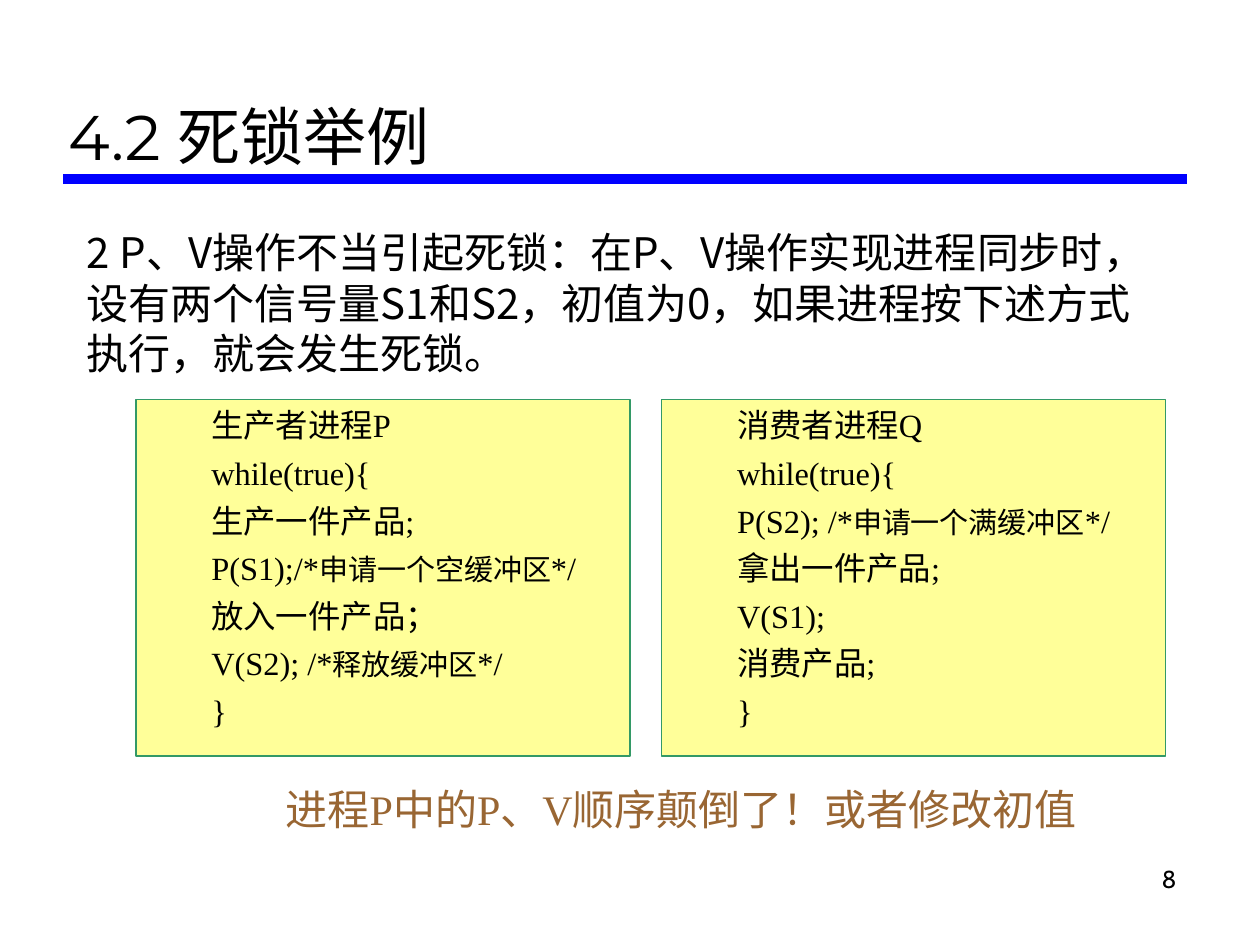
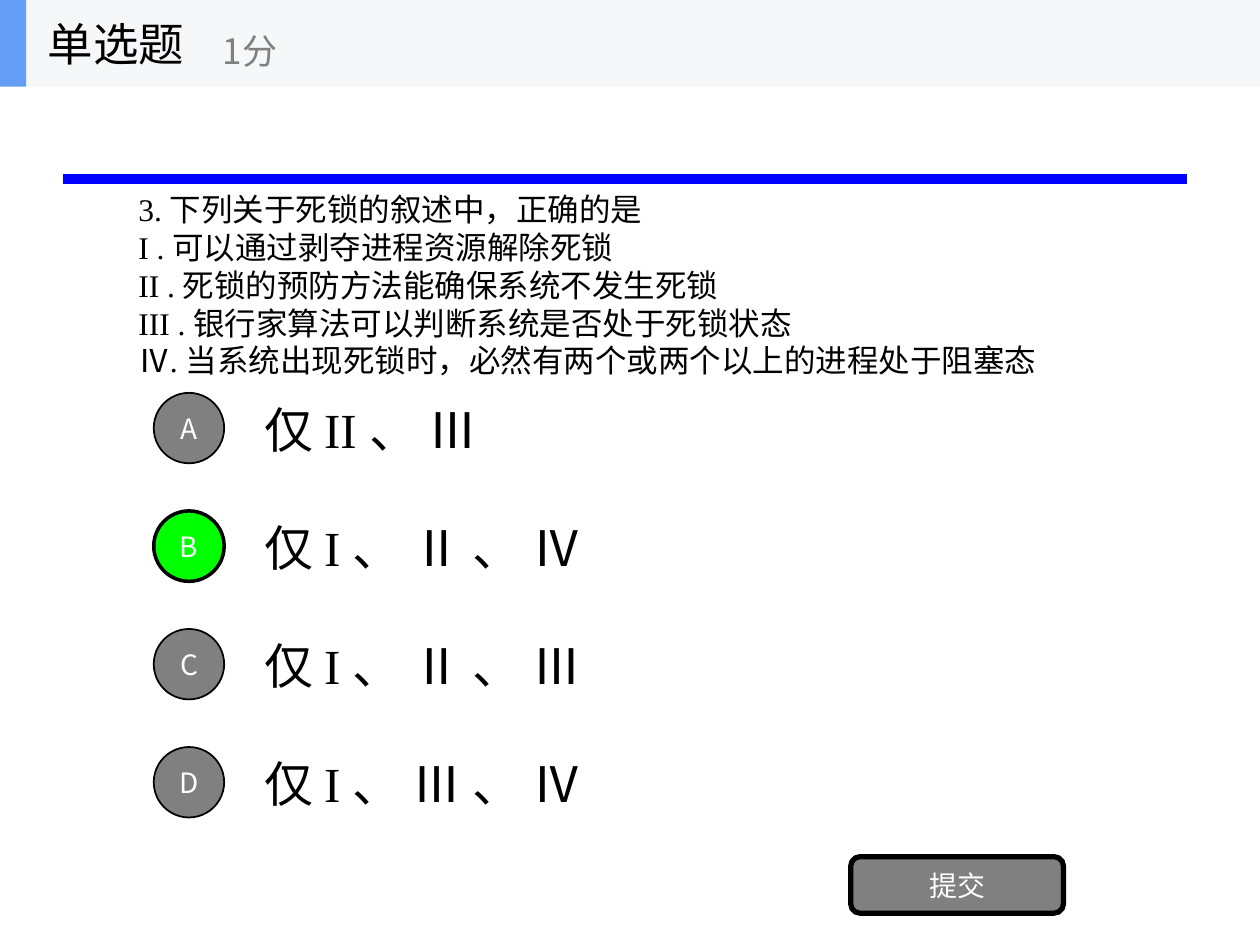
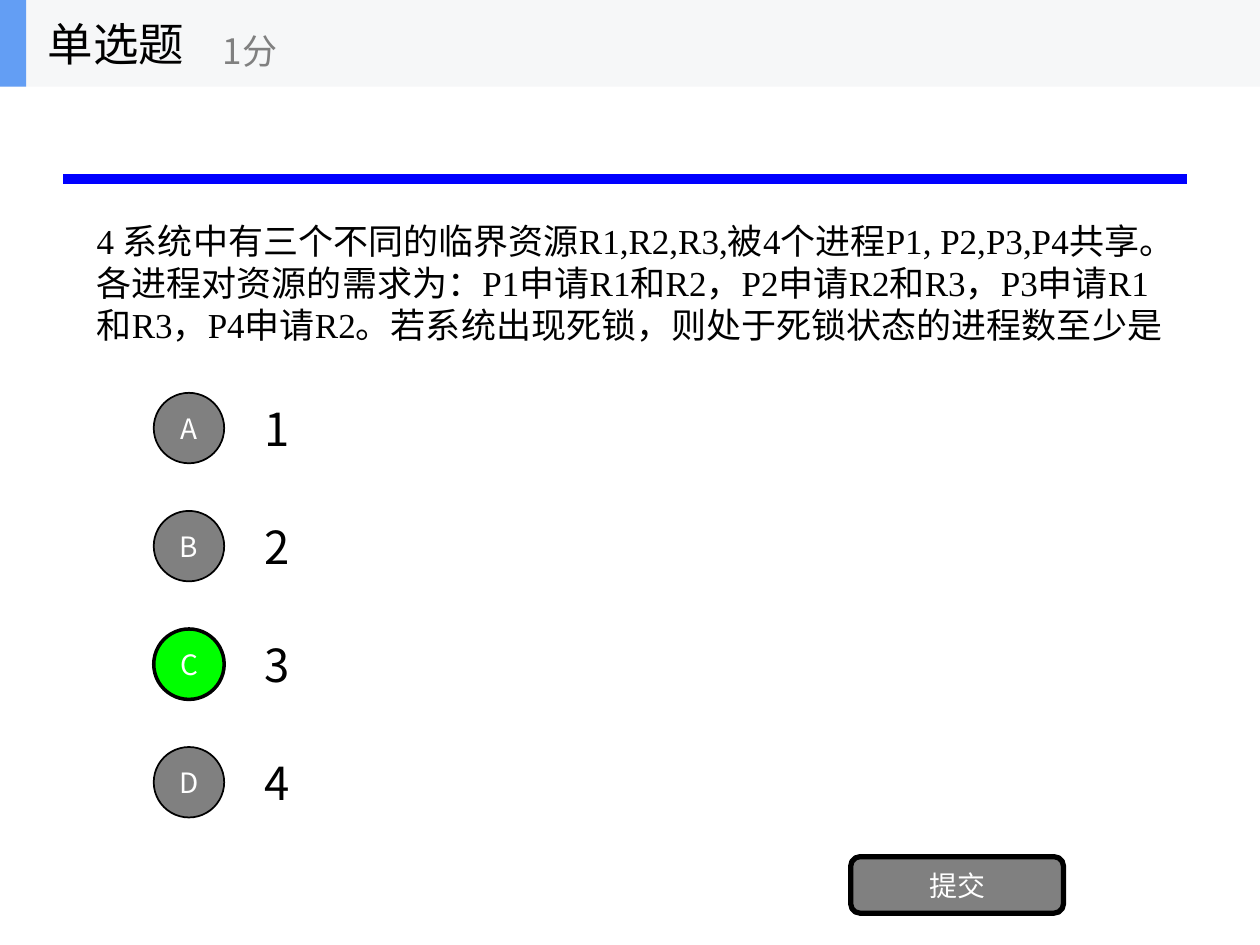
from lxml.etree import SubElement
from pptx import Presentation
from pptx.dml.color import RGBColor
from pptx.enum.shapes import MSO_CONNECTOR, MSO_SHAPE
from pptx.enum.text import MSO_ANCHOR, MSO_AUTO_SIZE, PP_ALIGN
from pptx.oxml.ns import qn
from pptx.util import Cm, Pt

BLACK = RGBColor(0x00, 0x00, 0x00)
WHITE = RGBColor(0xFF, 0xFF, 0xFF)
GRAY = RGBColor(0x80, 0x80, 0x80)
BLUE = RGBColor(0x00, 0x00, 0xFF)
GREEN = RGBColor(0x00, 0xFF, 0x00)
YELLOW = RGBColor(0xFF, 0xFF, 0x99)
CODE_BORDER = RGBColor(0x33, 0x99, 0x66)
BROWN = RGBColor(0x99, 0x66, 0x33)
HEADER_FILL = RGBColor(0xF6, 0xF7, 0xF8)
HEADER_MARK = RGBColor(0x63, 0x9E, 0xF4)

SANS = "Noto Sans CJK SC"
SERIF = "Times New Roman"


def write(sp, paragraphs, size, font=SANS, color=BLACK, align=PP_ALIGN.LEFT,
          anchor=MSO_ANCHOR.TOP, space=0, wrap=True):
    """Fill sp; a paragraph is a list of runs, a run is a string or (string, size)."""
    tf = sp.text_frame
    tf.word_wrap = wrap
    tf.auto_size = MSO_AUTO_SIZE.NONE
    tf.vertical_anchor = anchor
    for i, runs in enumerate(paragraphs):
        p = tf.add_paragraph() if i else tf.paragraphs[0]
        p.alignment = align
        p.space_before = Pt(space if i else 0)
        for run in runs:
            text, run_size = (run, size) if isinstance(run, str) else run
            for n, line in enumerate(text.split("\n")):
                if n:
                    p.add_line_break()
                r = p.add_run()
                r.text = line
                r.font.size = Pt(run_size)
                r.font.name = font
                r.font.color.rgb = color
                SubElement(r.font._element, qn("a:ea"), typeface=SANS)


def add_box(s, kind, x, y, w, h, fill, line=None, width=1):
    sp = s.shapes.add_shape(kind, Cm(x), Cm(y), Cm(w), Cm(h))
    sp.shadow.inherit = False
    sp.fill.solid()
    sp.fill.fore_color.rgb = fill
    if line is None:
        sp.line.fill.background()
    else:
        sp.line.color.rgb = line
        sp.line.width = Pt(width)
    return sp


prs = Presentation()
prs.slide_width, prs.slide_height = Cm(25.4), Cm(19.05)

# Blue rule shared by all slides
slides = []
for _ in range(3):
    s = prs.slides.add_slide(prs.slide_layouts[5])
    rule = s.shapes.add_connector(MSO_CONNECTOR.STRAIGHT, Cm(1.27), Cm(3.61), Cm(23.93), Cm(3.61))
    rule.line.color.rgb = BLUE
    rule.line.width = Pt(6)
    SubElement(rule._element.spPr, qn("a:effectLst"))
    slides.append(s)

# Slide 1: deadlock example
s = slides[0]
title = s.shapes.title
title.left, title.top, title.width, title.height = Cm(1.12), Cm(0.43), Cm(22.78), Cm(3.18)
write(title, [["4.2 死锁举例"]], 36, "Montserrat", anchor=MSO_ANCHOR.BOTTOM)

body = s.shapes.add_textbox(Cm(1.5), Cm(4.45), Cm(22.2), Cm(3.61))
write(body, [["2 P、V操作不当引起死锁：在P、V操作实现进程同步时，设有两个信号量S1和S2，"
              "初值为0，如果进程按下述方式执行，就会发生死锁。"]], 24)

COMMENT = 16.6
producer = [
    ["生产者进程P"],
    ["while(true){"],
    ["生产一件产品;"],
    ["P(S1);/*", ("申请一个空缓冲区", COMMENT), "*/"],
    ["放入一件产品；"],
    ["V(S2); /*", ("释放缓冲区", COMMENT), "*/"],
    ["}"],
]
consumer = [
    ["消费者进程Q"],
    ["while(true){"],
    ["P(S2); /*", ("申请一个满缓冲区", COMMENT), "*/"],
    ["拿出一件产品;"],
    ["V(S1);"],
    ["消费产品;"],
    ["}"],
]
for x, w, code in [(2.74, 9.96, producer), (13.34, 10.16, consumer)]:
    sp = add_box(s, MSO_SHAPE.RECTANGLE, x, 8.05, w, 7.19, YELLOW, CODE_BORDER, 0.75)
    sp.text_frame.margin_left = Cm(1.52)
    write(sp, code, 18.5, SERIF, space=5)

note = s.shapes.add_textbox(Cm(5.51), Cm(15.67), Cm(16.94), Cm(2.29))
write(note, [["进程P中的P、V顺序颠倒了！或者修改初值"]], 24, SERIF, BROWN)

number = s.shapes.add_textbox(Cm(18.69), Cm(17.3), Cm(5.28), Cm(1.27))
write(number, [["8"]], 14, "Cabin", align=PP_ALIGN.RIGHT)

# Slides 2 and 3: single-choice questions
quizzes = [
    {"question": "3. 下列关于死锁的叙述中，正确的是\n"
                 "I . 可以通过剥夺进程资源解除死锁\n"
                 "II . 死锁的预防方法能确保系统不发生死锁\n"
                 "III . 银行家算法可以判断系统是否处于死锁状态\n"
                 "Ⅳ. 当系统出现死锁时，必然有两个或两个以上的进程处于阻塞态",
     "place": (2.54, 2.77, 20.32), "size": 18,
     "options": ["仅 II 、 Ⅲ", "仅 I 、 Ⅱ 、 Ⅳ", "仅 I 、 Ⅱ 、 Ⅲ", "仅 I 、 Ⅲ 、 Ⅳ"],
     "option_font": SERIF, "option_size": 28, "answer": "B"},
    {"question": "4 系统中有三个不同的临界资源R1,R2,R3,被4个进程P1, P2,P3,P4共享。"
                 "各进程对资源的需求为：P1申请R1和R2，P2申请R2和R3，P3申请R1和R3，"
                 "P4申请R2。若系统出现死锁，则处于死锁状态的进程数至少是",
     "place": (1.7, 2.72, 22), "size": 20,
     "options": ["1", "2", "3", "4"],
     "option_font": SANS, "option_size": 26, "answer": "C"},
]
OPTION_STEP = 2.38
MIDDLE = MSO_ANCHOR.MIDDLE
button_text = {"size": 16, "color": WHITE, "align": PP_ALIGN.CENTER, "anchor": MIDDLE, "wrap": False}

for s, quiz in zip(slides[1:], quizzes):
    x, y, w = quiz["place"]
    question = s.shapes.add_textbox(Cm(x), Cm(y), Cm(w), Cm(5.94))
    write(question, [[quiz["question"]]], quiz["size"], SERIF, anchor=MIDDLE)

    for i, (letter, option) in enumerate(zip("ABCD", quiz["options"])):
        y = 7.75 + i * OPTION_STEP
        sp = s.shapes.add_textbox(Cm(5.08), Cm(y), Cm(17.78), Cm(1.78))
        write(sp, [[option]], quiz["option_size"], quiz["option_font"], anchor=MIDDLE)
        fill, width = (GREEN, 2) if letter == quiz["answer"] else (GRAY, 1)
        sp = add_box(s, MSO_SHAPE.OVAL, 3.1, y + 0.17, 1.42, 1.42, fill, BLACK, width)
        write(sp, [[letter]], **button_text)

    submit = add_box(s, MSO_SHAPE.ROUNDED_RECTANGLE, 17.15, 17.27, 4.29, 1.14, GRAY, BLACK, 3)
    write(submit, [["提交"]], **button_text)

    add_box(s, MSO_SHAPE.RECTANGLE, 0, 0, 25.4, 1.75, HEADER_FILL)
    add_box(s, MSO_SHAPE.RECTANGLE, 0, 0, 0.53, 1.75, HEADER_MARK)
    title = s.shapes.title
    title.left, title.top, title.width, title.height = Cm(0.71), Cm(0), Cm(5.28), Cm(1.75)
    write(title, [["单选题"]], 26, anchor=MIDDLE)
    s.shapes._spTree.append(title._element)  # bring the title in front of the header band
    score = s.shapes.add_textbox(Cm(4.24), Cm(0.3), Cm(6.35), Cm(1.42))
    write(score, [["1分"]], 20, color=GRAY, anchor=MIDDLE)

prs.save("out.pptx")
